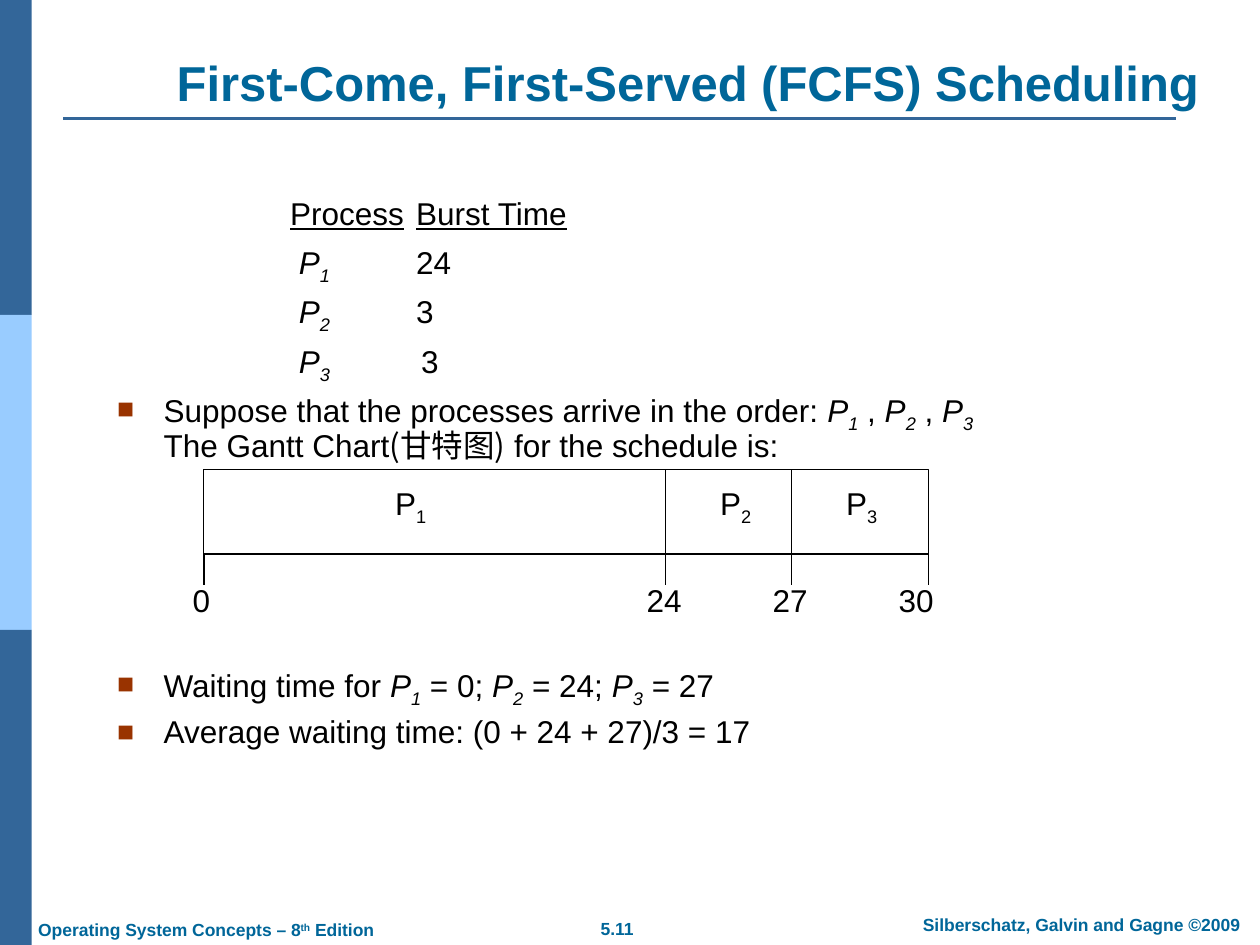
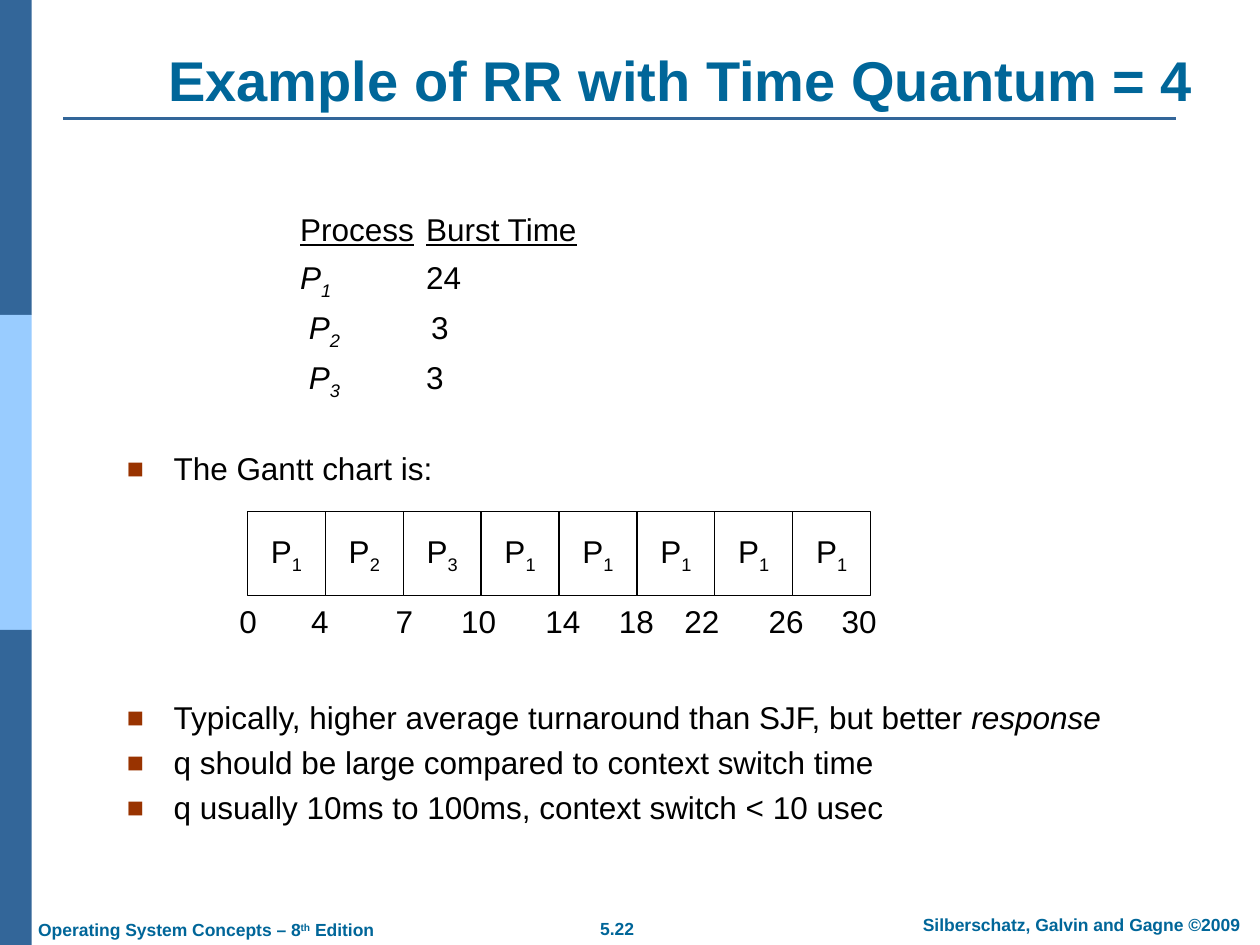
from dataclasses import dataclass
from typing import NamedTuple, Optional

from lxml.etree import SubElement
from pptx import Presentation
from pptx.dml.color import RGBColor
from pptx.enum.shapes import MSO_CONNECTOR, MSO_SHAPE
from pptx.enum.text import MSO_ANCHOR, MSO_AUTO_SIZE, PP_ALIGN
from pptx.oxml.ns import qn
from pptx.util import Cm, Pt

COLORS = {
    "band": "336699",
    "band_light": "99CCFF",
    "heading": "006699",
    "bullet": "993300",
    "text": "000000",
    "cell": "FFFFFF",
}
FONT = "Arial"
CJK_FONT = "Noto Sans CJK SC"
BAND_WIDTH, BAND_HEIGHT = 0.64, 6.35
BULLET_INDENT = 0.94
BURST_TAB = 2.54
BAR_HEIGHT = 1.7
LABEL_WIDTH, LABEL_HEIGHT = 1.22, 1.02


class Run(NamedTuple):
    text: str
    italic: bool = False
    underline: bool = False
    baseline: int = 0
    font: Optional[str] = None


class Box(NamedTuple):
    left: float
    top: float
    width: float
    height: float


class Mark(NamedTuple):
    time: int
    center: float


Line = list[Run]
LINE_BREAK = Run("\n")


@dataclass
class TextBlock:
    box: Box
    lines: list[Line]
    bulleted: bool = True


@dataclass
class Footer:
    box: Box
    line: Line
    align: PP_ALIGN = PP_ALIGN.CENTER
    wrap: bool = False


@dataclass
class Page:
    title: str
    title_box: Box
    title_size: int
    number: str
    blocks: list[TextBlock]


def rgb(name: str) -> RGBColor:
    return RGBColor.from_string(COLORS[name])


def process(number: int, italic: bool = True) -> Line:
    return [Run("P", italic), Run(str(number), italic, baseline=-25)]


def lengths(box: Box) -> list[Cm]:
    return [Cm(value) for value in box]


def style_font(font, size: int, color: str, bold: bool = False) -> None:
    font.name = FONT
    font.size = Pt(size)
    font.bold = bold
    font.color.rgb = rgb(color)


def write_line(paragraph, line: Line) -> None:
    for part in line:
        if part == LINE_BREAK:
            paragraph.add_line_break()
            continue
        run = paragraph.add_run()
        run.text = part.text
        if part.italic:
            run.font.italic = True
        if part.underline:
            run.font.underline = True
        properties = run._r.get_or_add_rPr()
        if part.baseline:
            properties.set("baseline", str(part.baseline * 1000))
        if part.font:
            run.font.name = part.font
            SubElement(properties, qn("a:ea"), typeface=part.font)


def add_bullet(paragraph) -> None:
    properties = paragraph._p.get_or_add_pPr()
    properties.set("marL", str(Cm(BULLET_INDENT)))
    properties.set("indent", str(-Cm(BULLET_INDENT)))
    color = SubElement(properties, qn("a:buClr"))
    SubElement(color, qn("a:srgbClr"), val=COLORS["bullet"])
    SubElement(properties, qn("a:buSzPct"), val="90000")
    SubElement(properties, qn("a:buFont"), typeface=FONT)
    SubElement(properties, qn("a:buChar"), char="■")


def add_tab_stop(paragraph) -> None:
    stops = SubElement(paragraph._p.get_or_add_pPr(), qn("a:tabLst"))
    SubElement(stops, qn("a:tab"), pos=str(Cm(BURST_TAB)), algn="l")


def add_text_block(slide, block: TextBlock) -> None:
    frame = slide.shapes.add_textbox(*lengths(block.box)).text_frame
    frame.word_wrap = True
    for index, line in enumerate(block.lines):
        paragraph = frame.add_paragraph() if index else frame.paragraphs[0]
        paragraph.line_spacing = 0.9
        if index:
            paragraph.space_before = Pt(6.3)
        if block.bulleted:
            add_bullet(paragraph)
        else:
            add_tab_stop(paragraph)
        style_font(paragraph.font, 18, "text")
        write_line(paragraph, line)


def add_rectangle(slide, box: Box, fill: str, outline: Optional[str] = None):
    rectangle = slide.shapes.add_shape(MSO_SHAPE.RECTANGLE, *lengths(box))
    rectangle.shadow.inherit = False
    rectangle.fill.solid()
    rectangle.fill.fore_color.rgb = rgb(fill)
    if outline:
        rectangle.line.color.rgb = rgb(outline)
        rectangle.line.width = Pt(0.75)
    else:
        rectangle.line.fill.background()
    return rectangle


def add_line(slide, start: tuple[float, float], end: tuple[float, float],
             color: str, width: float) -> None:
    points = [Cm(value) for value in (*start, *end)]
    line = slide.shapes.add_connector(MSO_CONNECTOR.STRAIGHT, *points)
    line.line.color.rgb = rgb(color)
    line.line.width = Pt(width)
    SubElement(line._element.spPr, qn("a:effectLst"))


def write_label(shape, line: Line) -> None:
    frame = shape.text_frame
    frame.word_wrap = False
    frame.vertical_anchor = MSO_ANCHOR.MIDDLE
    paragraph = frame.paragraphs[0]
    paragraph.alignment = PP_ALIGN.CENTER
    style_font(paragraph.font, 18, "text")
    write_line(paragraph, line)


def add_label(slide, center: float, top: float, line: Line) -> None:
    box = Box(center - LABEL_WIDTH / 2, top, LABEL_WIDTH, LABEL_HEIGHT)
    write_label(slide.shapes.add_textbox(*lengths(box)), line)


def add_times(slide, marks: list[Mark], top: float) -> None:
    for mark in marks:
        add_label(slide, mark.center, top, [Run(str(mark.time))])


def add_footer(slide, footer: Footer) -> None:
    frame = slide.shapes.add_textbox(*lengths(footer.box)).text_frame
    frame.word_wrap = footer.wrap
    paragraph = frame.paragraphs[0]
    paragraph.alignment = footer.align
    style_font(paragraph.font, 10, "heading", bold=True)
    write_line(paragraph, footer.line)


def add_page(deck, page: Page):
    slide = deck.slides.add_slide(deck.slide_layouts[5])
    for index, color in enumerate(("band", "band_light", "band")):
        add_rectangle(slide, Box(0, index * BAND_HEIGHT, BAND_WIDTH, BAND_HEIGHT), color)
    add_line(slide, (1.27, 2.39), (23.7, 2.39), "band", 1.5)

    edition = [Run("Operating System Concepts – 8"), Run("th", baseline=30), Run(" Edition")]
    for footer in (
        Footer(Box(11.82, 18.38, 1.24, 0.69), [Run(page.number)]),
        Footer(Box(18.03, 18.31, 7.54, 0.69),
               [Run("Silberschatz, Galvin and Gagne ©2009")], wrap=True),
        Footer(Box(0.52, 18.41, 7.39, 0.69), edition, PP_ALIGN.LEFT),
    ):
        add_footer(slide, footer)

    title = slide.shapes.title
    title.left, title.top, title.width, title.height = lengths(page.title_box)
    frame = title.text_frame
    frame.text = page.title
    frame.auto_size = MSO_AUTO_SIZE.NONE
    frame.vertical_anchor = MSO_ANCHOR.BOTTOM
    frame.paragraphs[0].alignment = PP_ALIGN.CENTER
    style_font(frame.paragraphs[0].font, page.title_size, "heading", bold=True)

    for block in page.blocks:
        add_text_block(slide, block)
    return slide


def add_fcfs_chart(slide) -> None:
    left, top, right = 4.11, 9.47, 18.72
    bottom, tick_end = top + BAR_HEIGHT, top + BAR_HEIGHT + 0.62
    dividers = (13.41, 15.95)
    add_rectangle(slide, Box(left, top, right - left, BAR_HEIGHT), "cell", "text")
    for number, center in enumerate((8.28, 14.83, 17.37), start=1):
        add_label(slide, center, 9.68, process(number, italic=False))
    for x in dividers:
        add_line(slide, (x, top), (x, bottom), "text", 0.75)
    for x in (left, *dividers, right):
        add_line(slide, (x, bottom), (x, tick_end), "text", 0.75)
    add_times(slide, [Mark(0, 4.06), Mark(24, 13.39), Mark(27, 15.93), Mark(30, 18.47)], 11.58)


def add_round_robin_chart(slide) -> None:
    left, top, cell_width = 4.99, 10.31, 1.57
    for index, number in enumerate((1, 2, 3, 1, 1, 1, 1, 1)):
        box = Box(left + index * cell_width, top, cell_width, BAR_HEIGHT)
        write_label(add_rectangle(slide, box, "cell", "text"), process(number, italic=False))
    marks = [Mark(0, 5.0), Mark(4, 6.45), Mark(7, 8.15), Mark(10, 9.65), Mark(14, 11.35),
             Mark(18, 12.83), Mark(22, 14.15), Mark(26, 15.85), Mark(30, 17.32)]
    add_times(slide, marks, 12.01)


def main() -> None:
    deck = Presentation()
    deck.slide_width, deck.slide_height = Cm(25.4), Cm(19.05)
    header = [Run("Process", underline=True), Run("\t"), Run("Burst Time", underline=True)]
    small_gap = Run("\t ", baseline=-25)

    fcfs = Page(
        "First-Come, First-Served (FCFS) Scheduling", Box(2.75, 1.1, 22.23, 1.27), 28, "5.11",
        [
            TextBlock(Box(5.6, 3.87, 8, 4), [
                header,
                [Run(" "), *process(1), Run("\t24")],
                [Run(" "), *process(2), Run("\t3")],
                [Run(" "), *process(3), small_gap, Run("3")],
            ], bulleted=False),
            TextBlock(Box(2.11, 7.77, 21, 1.6), [
                [Run("Suppose that the processes arrive in the order: "), *process(1),
                 Run(" , "), *process(2), Run(" , "), *process(3), LINE_BREAK,
                 Run("The Gantt Chart"), Run("(甘特图)", font=CJK_FONT),
                 Run(" for the schedule is:")],
            ]),
            TextBlock(Box(2.11, 13.32, 21, 2), [
                [Run("Waiting time for "), *process(1), Run(" = 0; "), *process(2),
                 Run(" = 24; "), *process(3), Run(" = 27")],
                [Run("Average waiting time: (0 + 24 + 27)/3 = 17")],
            ]),
        ],
    )
    round_robin = Page(
        "Example of RR with Time Quantum = 4", Box(2.54, 0.07, 22.38, 2.34), 32, "5.22",
        [
            TextBlock(Box(5.8, 4.19, 8, 4), [
                header,
                [*process(1), Run("\t24")],
                [Run(" "), *process(2), small_gap, Run("3")],
                [Run(" "), *process(3), Run("\t3")],
            ], bulleted=False),
            TextBlock(Box(2.31, 9.02, 20.42, 1), [[Run("The Gantt chart is:")]]),
            TextBlock(Box(2.31, 14.04, 20.42, 3), [
                [Run("Typically, higher average turnaround than SJF, but better "),
                 Run("response", italic=True)],
                [Run("q should be large compared to context switch time")],
                [Run("q usually 10ms to 100ms, context switch < 10 usec")],
            ]),
        ],
    )

    add_fcfs_chart(add_page(deck, fcfs))
    add_round_robin_chart(add_page(deck, round_robin))
    deck.save("out.pptx")


if __name__ == "__main__":
    main()
